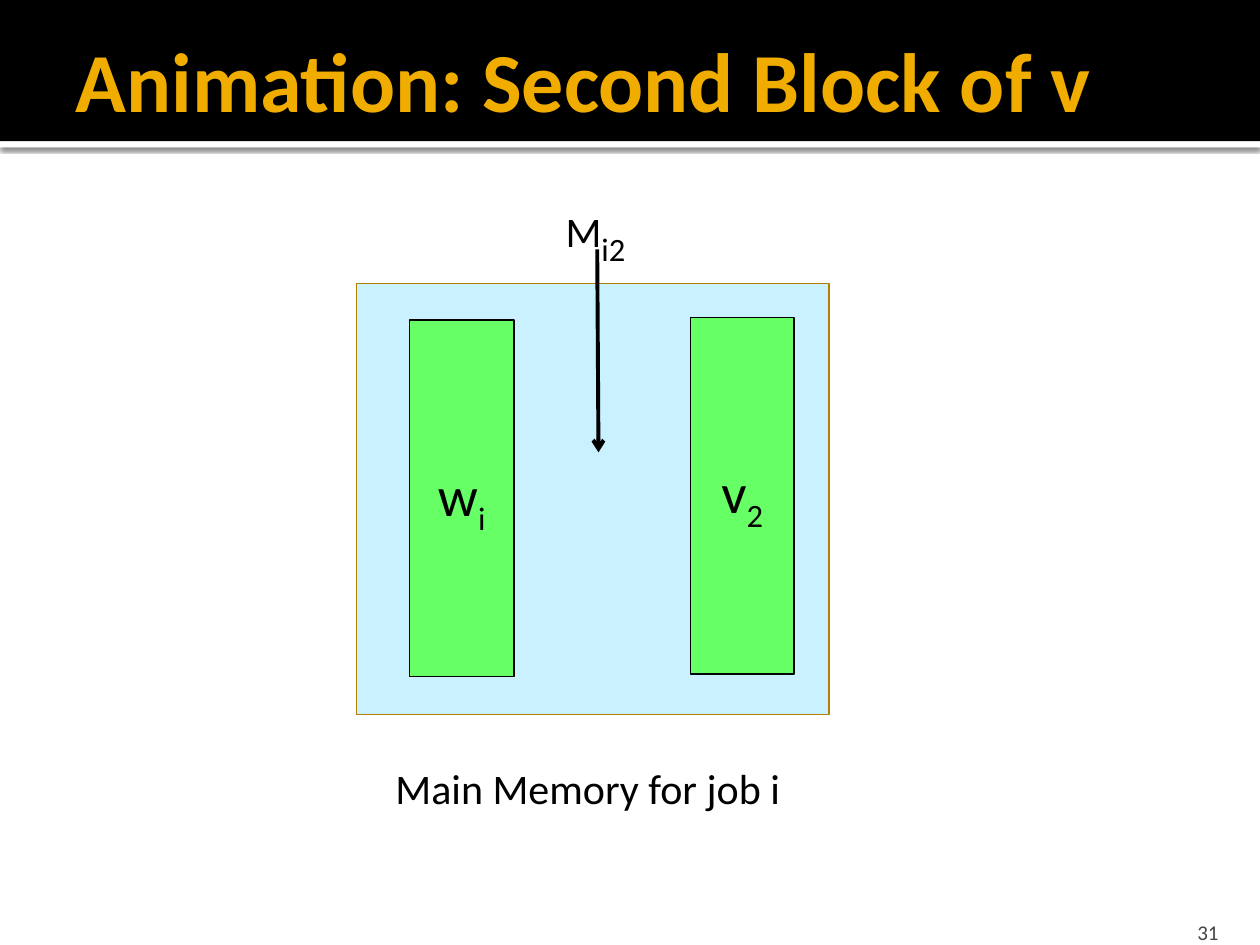
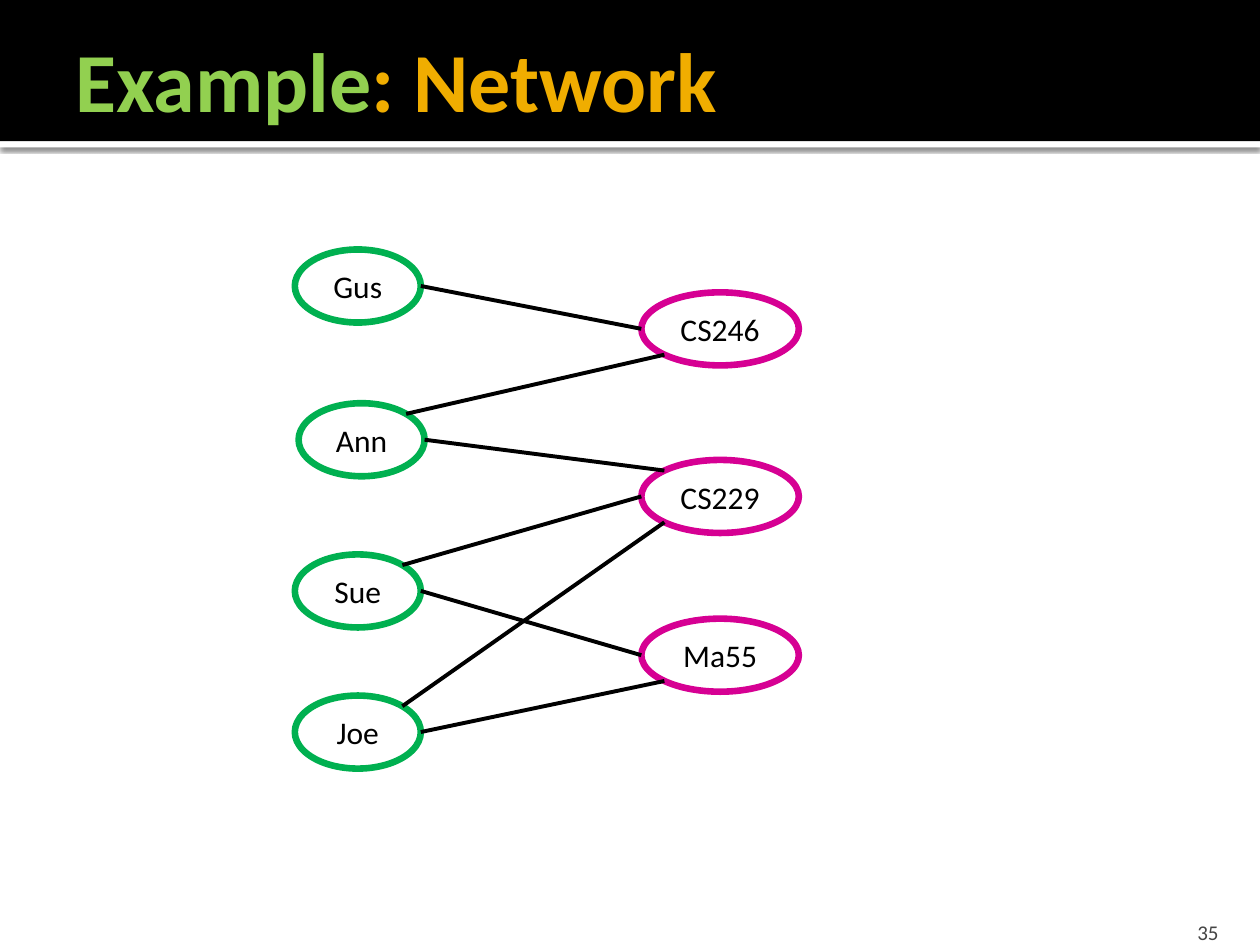
import math

import lxml.etree
import pptx
import pptx.dml.color
import pptx.enum.shapes
import pptx.enum.text
import pptx.oxml.ns
import pptx.util

# The slide is a grid of one-inch cells
COLUMNS, ROWS = 10, 7.5
FONT = "Calibri"
BLACK, WHITE, GOLD, LIME = "000000", "FFFFFF", "F0AD00", "92D050"
GREY, SKY, SKY_EDGE, GREEN = "454545", "C9F1FF", "B28000", "66FF66"
STUDENT_EDGE, COURSE_EDGE = "00B050", "D60093"
BAND_HEIGHT, RULE_HEIGHT = 1.12, 0.05
LINE_WIDTH, RING_WIDTH = 2.25, 3.78
SUBSCRIPT = "-25000"

SHAPE = pptx.enum.shapes.MSO_SHAPE
ALIGN = pptx.enum.text.PP_ALIGN
ANCHOR = pptx.enum.text.MSO_ANCHOR
inches = pptx.util.Inches


def color(hex_text):
    return pptx.dml.color.RGBColor.from_string(hex_text)


def cells(*lengths):
    return [inches(length) for length in lengths]


def apply(target, values):
    for name, value in values.items():
        setattr(target, name, value)


def add_xml(parent, tag, **attributes):
    return lxml.etree.SubElement(parent, pptx.oxml.ns.qn(tag), attributes)


def write(box, spans, align=ALIGN.LEFT, **frame_format):
    """Fill a box with one paragraph; a span is (text, size, colour, format)."""
    frame = box.text_frame
    apply(frame, frame_format)
    para = frame.paragraphs[0]
    para.alignment = align
    for text, size, hex_text, extra in spans:
        span = para.add_run()
        span.text = text
        apply(span.font, {"name": FONT, "size": pptx.util.Pt(size),
                          "bold": extra.get("bold", False)})
        span.font.color.rgb = color(hex_text)
        if extra.get("subscript"):
            span.font._element.set("baseline", SUBSCRIPT)


def with_subscript(letter, index, size, index_size):
    return [(letter, size, BLACK, {}),
            (index, index_size, BLACK, {"subscript": True})]


def add_figure(page, kind, place, fill=None, edge=None, width=1):
    figure = page.shapes.add_shape(kind, *cells(*place))
    figure.shadow.inherit = False
    if fill:
        figure.fill.solid()
        figure.fill.fore_color.rgb = color(fill)
    else:
        figure.fill.background()
    if edge:
        figure.line.color.rgb = color(edge)
        figure.line.width = pptx.util.Pt(width)
    else:
        figure.line.fill.background()
    return figure


def add_label(page, place, spans, align=ALIGN.LEFT, **frame_format):
    box = page.shapes.add_textbox(*cells(*place))
    write(box, spans, align, **frame_format)


def add_line(page, start, end, arrow=False):
    line = page.shapes.add_connector(
        pptx.enum.shapes.MSO_CONNECTOR.STRAIGHT, *cells(*start, *end))
    line.line.color.rgb = color(BLACK)
    line.line.width = pptx.util.Pt(LINE_WIDTH)
    if arrow:
        add_xml(line.line._get_or_add_ln(), "a:tailEnd", type="arrow")
    add_xml(line._element.spPr, "a:effectLst")


def add_bands(page):
    """Draw the header bands and move them to the shared layout."""
    rule = add_figure(page, SHAPE.RECTANGLE,
                      (0, BAND_HEIGHT, COLUMNS, RULE_HEIGHT), WHITE)
    effects = rule._element.spPr.find(pptx.oxml.ns.qn("a:effectLst"))
    shadow = add_xml(effects, "a:outerShdw", blurRad="31750", dist="10160",
                     dir="5400000", algn="tl", rotWithShape="0")
    tint = add_xml(shadow, "a:srgbClr", val=BLACK)
    add_xml(tint, "a:alpha", val="60000")
    band = add_figure(page, SHAPE.RECTANGLE, (0, 0, COLUMNS, BAND_HEIGHT), BLACK)
    for part in (band, rule):
        page.slide_layout.shapes._spTree.insert(2, part._element)


def add_page(deck, title_parts, number):
    page = deck.slides.add_slide(deck.slide_layouts[5])
    title = page.shapes.title
    apply(title, dict(zip(("left", "top", "width", "height"),
                          cells(0.5, 0.17, 9.5, 0.92))))
    write(title, [(text, 48, tint, {"bold": True}) for text, tint in title_parts],
          vertical_anchor=ANCHOR.MIDDLE, word_wrap=True,
          auto_size=pptx.enum.text.MSO_AUTO_SIZE.NONE,
          margin_left=inches(0.1), margin_right=inches(0.05),
          margin_top=inches(0.05), margin_bottom=inches(0.05))
    add_label(page, (8.97, 7.2, 0.8, 0.3), [(number, 12, GREY, {})], ALIGN.RIGHT,
              vertical_anchor=ANCHOR.BOTTOM, word_wrap=True, margin_bottom=0)
    return page


def add_vector(page, place, letter, index):
    bar = add_figure(page, SHAPE.RECTANGLE, place, GREEN, BLACK)
    write(bar, with_subscript(letter, index, 32, 32), ALIGN.CENTER,
          vertical_anchor=ANCHOR.MIDDLE)


def fill_memory_page(page):
    add_figure(page, SHAPE.RECTANGLE, (2.83, 2.25, 3.75, 3.42), SKY, SKY_EDGE)
    add_label(page, (3.04, 6, 3.26, 0.5),
              [("Main Memory for job i", 24, BLACK, {})], word_wrap=False)
    add_vector(page, (3.25, 2.54, 0.83, 2.83), "w", "i")
    add_vector(page, (5.48, 2.52, 0.82, 2.83), "v", "2")
    add_label(page, (4.39, 1.47, 0.7, 0.5),
              with_subscript("M", "i2", 24, 32), word_wrap=False)
    add_line(page, (4.74, 1.98), (4.75, 3.59), arrow=True)


def add_node(page, name, place, edge):
    oval = add_figure(page, SHAPE.OVAL, place, edge=edge, width=RING_WIDTH)
    write(oval, [(name, 18, BLACK, {})], ALIGN.CENTER, word_wrap=False,
          vertical_anchor=ANCHOR.MIDDLE)


def rim_point(place, angle):
    """Point on an oval's rim; the angle is in degrees, clockwise from right."""
    left, top, width, height = place
    turn = math.radians(angle)
    return (left + width / 2 * (1 + math.cos(turn)),
            top + height / 2 * (1 + math.sin(turn)))


def fill_network_page(page):
    # Ovals: students on the left, courses on the right
    students = {name: (left, top, 1, 0.58) for name, left, top in (
        ("Gus", 2.34, 1.98), ("Ann", 2.37, 3.2),
        ("Sue", 2.34, 4.4), ("Joe", 2.34, 5.52))}
    courses = {name: (5.09, top, 1.25, 0.58) for name, top in (
        ("CS246", 2.32), ("CS229", 3.65), ("Ma55", 4.91))}
    for nodes, edge in ((students, STUDENT_EDGE), (courses, COURSE_EDGE)):
        for name, place in nodes.items():
            add_node(page, name, place, edge)

    # Links: student, rim angle, course, rim angle
    right, upper_right = 0, -45
    left, upper_left, lower_left = 180, 225, 135
    for student, start, course, end in (
            ("Gus", right, "CS246", left),
            ("Ann", upper_right, "CS246", lower_left),
            ("Ann", right, "CS229", upper_left),
            ("Sue", upper_right, "CS229", left),
            ("Sue", right, "Ma55", left),
            ("Joe", upper_right, "CS229", lower_left),
            ("Joe", right, "Ma55", lower_left)):
        add_line(page, rim_point(students[student], start),
                 rim_point(courses[course], end))


def main():
    deck = pptx.Presentation()
    deck.slide_width, deck.slide_height = cells(COLUMNS, ROWS)
    memory = add_page(deck, [("Animation: Second Block of v", GOLD)], "31")
    add_bands(memory)
    fill_memory_page(memory)
    network = add_page(deck, [("Example", LIME), (": Network", GOLD)], "35")
    fill_network_page(network)
    deck.save("out.pptx")


if __name__ == "__main__":
    main()
